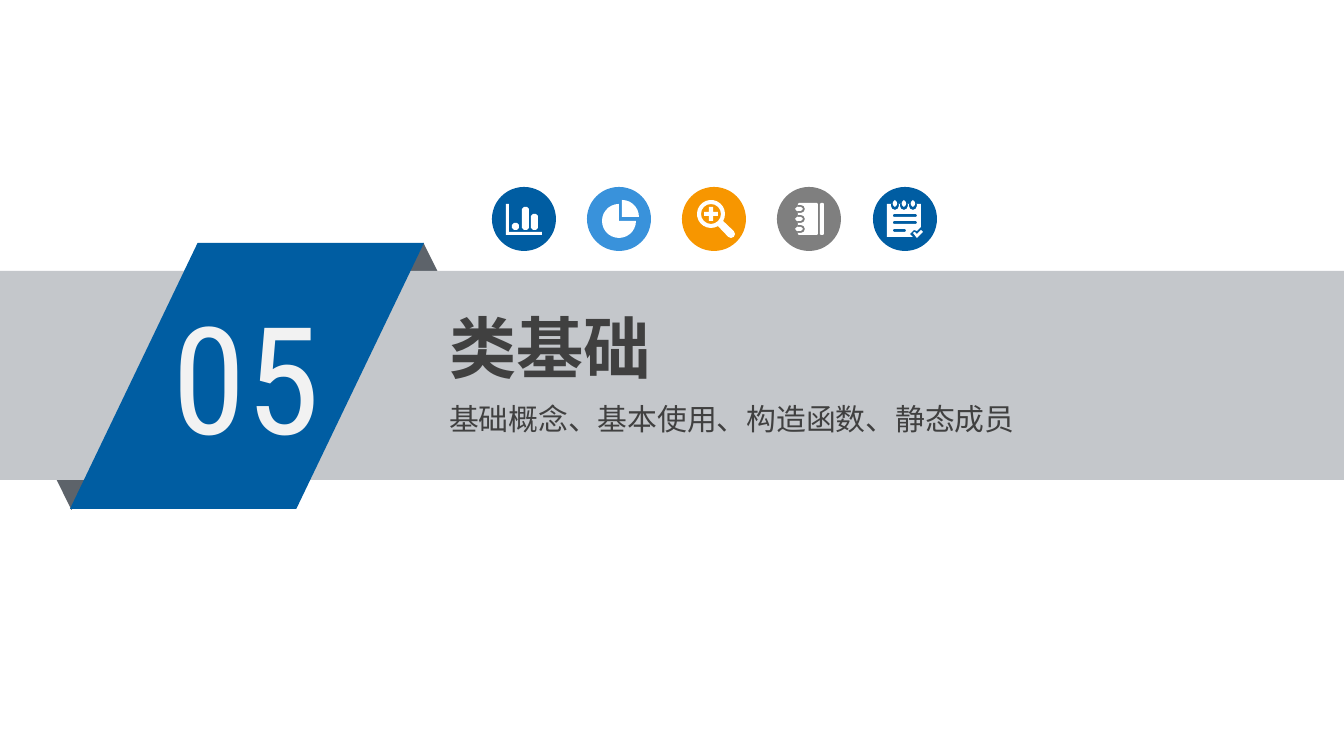
import math

import lxml.etree
import pptx
import pptx.dml.color
import pptx.enum.shapes
import pptx.enum.text
import pptx.oxml.ns
import pptx.util

EMU_PER_PX = 914400 / 134.4
COLORS = {
    "blue": "005DA2",
    "sky": "3992DB",
    "orange": "F79600",
    "gray": "7F7F7F",
    "band": "C4C7CB",
    "fold": "5D636A",
    "text": "404040",
    "number": "F2F2F2",
    "white": "FFFFFF",
}
KINDS = pptx.enum.shapes.MSO_SHAPE


def px(value):
    return pptx.util.Emu(round(value * EMU_PER_PX))


def rgb(name):
    return pptx.dml.color.RGBColor.from_string(COLORS[name])


def paint(shape, color):
    shape.shadow.inherit = False
    shape.fill.solid()
    shape.fill.fore_color.rgb = rgb(color)
    shape.line.fill.background()


def add_block(shapes, kind, box, color):
    shape = shapes.add_shape(kind, *map(px, box))
    paint(shape, color)
    return shape


def add_text(shapes, box, inset, text, color, **font_values):
    shape = shapes.add_textbox(*map(px, box))
    frame = shape.text_frame
    frame_values = {
        "word_wrap": True,
        "auto_size": pptx.enum.text.MSO_AUTO_SIZE.SHAPE_TO_FIT_TEXT,
        "margin_left": px(inset),
        "margin_right": px(inset),
        "margin_top": px(5),
        "margin_bottom": px(5),
    }
    for name, value in frame_values.items():
        setattr(frame, name, value)
    run = frame.paragraphs[0].add_run()
    run.text = text
    for name, value in font_values.items():
        setattr(run.font, name, value)
    run.font.color.rgb = rgb(color)
    east_asian = lxml.etree.SubElement(run.font._element, pptx.oxml.ns.qn("a:ea"))
    east_asian.set("typeface", run.font.name)


def arc(x, y, radius, start, end):
    sweep = math.radians(end - start)
    steps = math.ceil(radius * sweep / 4)
    angles = [math.radians(start) + sweep * i / steps for i in range(steps + 1)]
    return [(x + radius * math.cos(a), y + radius * math.sin(a)) for a in angles]


def rounded(left, top, right, bottom, radius):
    return (
        arc(left + radius, top + radius, radius, 180, 270)
        + arc(right - radius, top + radius, radius, 270, 360)
        + arc(right - radius, bottom - radius, radius, 0, 90)
        + arc(left + radius, bottom - radius, radius, 90, 180)
    )


def bar_chart_contours():
    axes = [(-18, -15), (-15, -15), (-15, 13), (18, 13), (18, 16), (-18, 16)]
    bars = [(-12, 4), (-2, -12), (7, -5)]
    return [axes] + [rounded(left, top, left + 7, 11, 2) for left, top in bars]


def pie_contours():
    return [
        [(3, -2)] + arc(3, -2, 17, -90, 0),
        [(0, 2)] + arc(0, 2, 17, 0, 270),
    ]


def magnifier_contours():
    plus = [
        (-5, -12), (-1, -12), (-1, -7), (4, -7), (4, -3), (-1, -3),
        (-1, 2), (-5, 2), (-5, -3), (-10, -3), (-10, -7), (-5, -7),
    ]
    outline = arc(-3, -5, 14, 60, 390) + arc(17, 15, 4, -45, 135)
    return [outline, arc(-3, -5, 10, 0, 360), plus]


def notebook_contours():
    contours = [rounded(-11, -16, 9, 16, 1), rounded(11, -16, 15, 16, 1)]
    for y in (-10, 0, 10):
        contours.append(arc(-8, y, 4, -90, 90) + [(-11, y + 4), (-11, y - 4)])
        contours.append(rounded(-14, y - 2, -6, y + 2, 2))
    return contours


def checklist_contours():
    paper = [(-18, -15), (16, -15), (16, 8), (12, 12), (9, 11), (5, 15), (8, 18), (-18, 18)]
    check = [(8, 14), (10, 13), (12, 15), (16, 11), (18, 13), (12, 19)]
    lines = [(-5, 12), (2, 12), (10, 1)]
    contours = [paper, check]
    contours += [rounded(-12, top, right, top + 3, 1) for top, right in lines]
    for x in (-10, -1, 8):
        contours.append(arc(x, -13, 4, 0, 180) + [(x - 4, -15), (x + 4, -15)])
        contours.append(rounded(x - 2, -19, x + 2, -12, 2))
    return contours


def add_icon(shapes, left, color, contours):
    top, diameter = 187, 64
    group = shapes.add_group_shape().shapes
    add_block(group, KINDS.OVAL, (left, top, diameter, diameter), color)
    center_x, center_y = left + diameter / 2, top + diameter / 2
    placed = [[(px(center_x + x), px(center_y + y)) for x, y in contour] for contour in contours]
    builder = group.build_freeform(*placed[0][0])
    builder.add_line_segments(placed[0][1:], close=True)
    for contour in placed[1:]:
        builder.move_to(*contour[0])
        builder.add_line_segments(contour[1:], close=True)
    paint(builder.convert_to_shape(), "white")


def add_banner(shapes):
    group = shapes.add_group_shape().shapes
    add_block(group, KINDS.ISOSCELES_TRIANGLE, (363, 243, 121, 122), "fold")
    lower_fold = add_block(group, KINDS.ISOSCELES_TRIANGLE, (11, 388, 121, 122), "fold")
    lower_fold.rotation = 180
    add_block(group, KINDS.RECTANGLE, (0, 271, 1344, 209), "band")
    ribbon = add_block(group, KINDS.PARALLELOGRAM, (70, 243, 354, 266), "blue")
    ribbon.adjustments[0] = 0.48
    add_text(group, (164, 280, 195, 191), 9, "05", "number",
             name="Roboto Condensed", size=pptx.util.Pt(80))


def main():
    presentation = pptx.Presentation()
    presentation.slide_width = px(1344)
    presentation.slide_height = px(756)
    shapes = presentation.slides.add_slide(presentation.slide_layouts[6]).shapes
    add_banner(shapes)
    add_text(shapes, (438, 301, 742, 91), 11, "类基础", "text",
             name="Noto Sans CJK SC", size=pptx.util.Pt(36), bold=True)
    add_text(shapes, (438, 396, 637, 47), 11, "基础概念、基本使用、构造函数、静态成员", "text",
             name="Noto Sans CJK SC", size=pptx.util.Pt(16))
    icons = [
        ("blue", bar_chart_contours()),
        ("sky", pie_contours()),
        ("orange", magnifier_contours()),
        ("gray", notebook_contours()),
        ("blue", checklist_contours()),
    ]
    for index, (color, contours) in enumerate(icons):
        add_icon(shapes, 492 + index * 381 // 4, color, contours)
    presentation.save("out.pptx")


if __name__ == "__main__":
    main()
